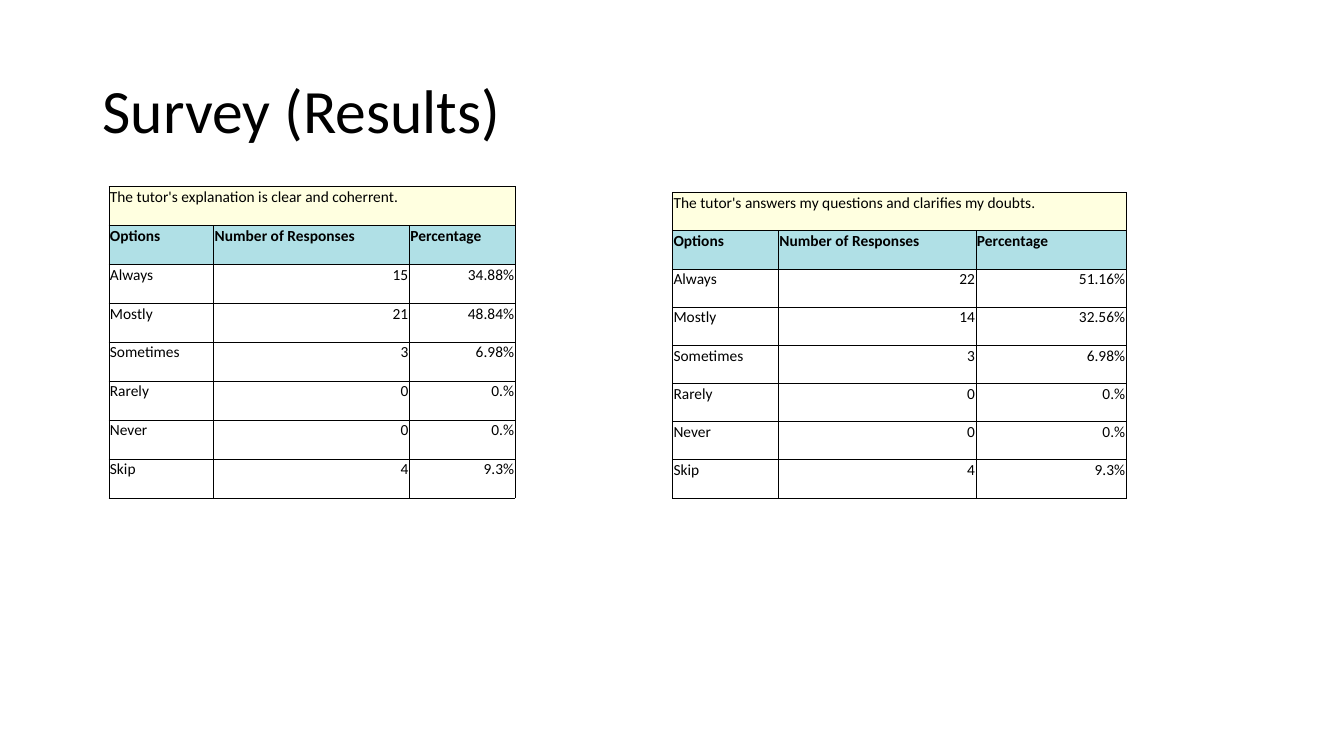
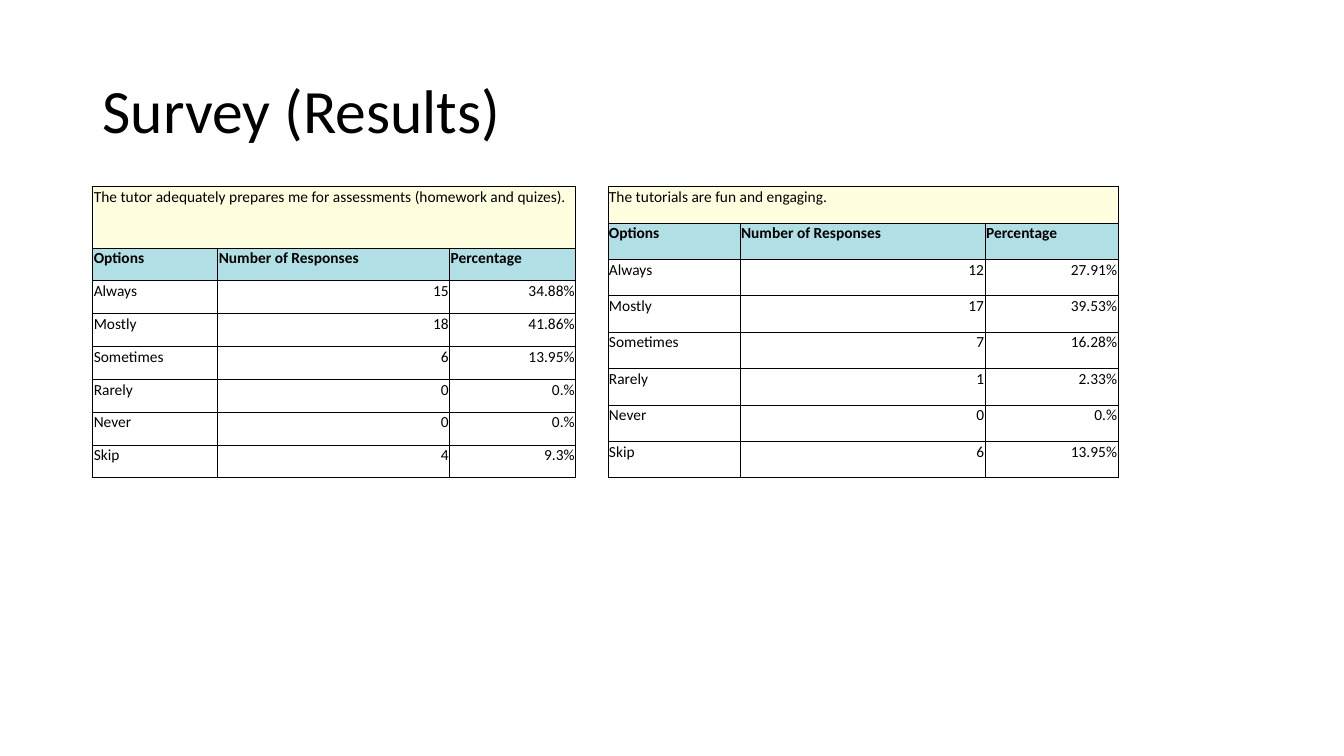
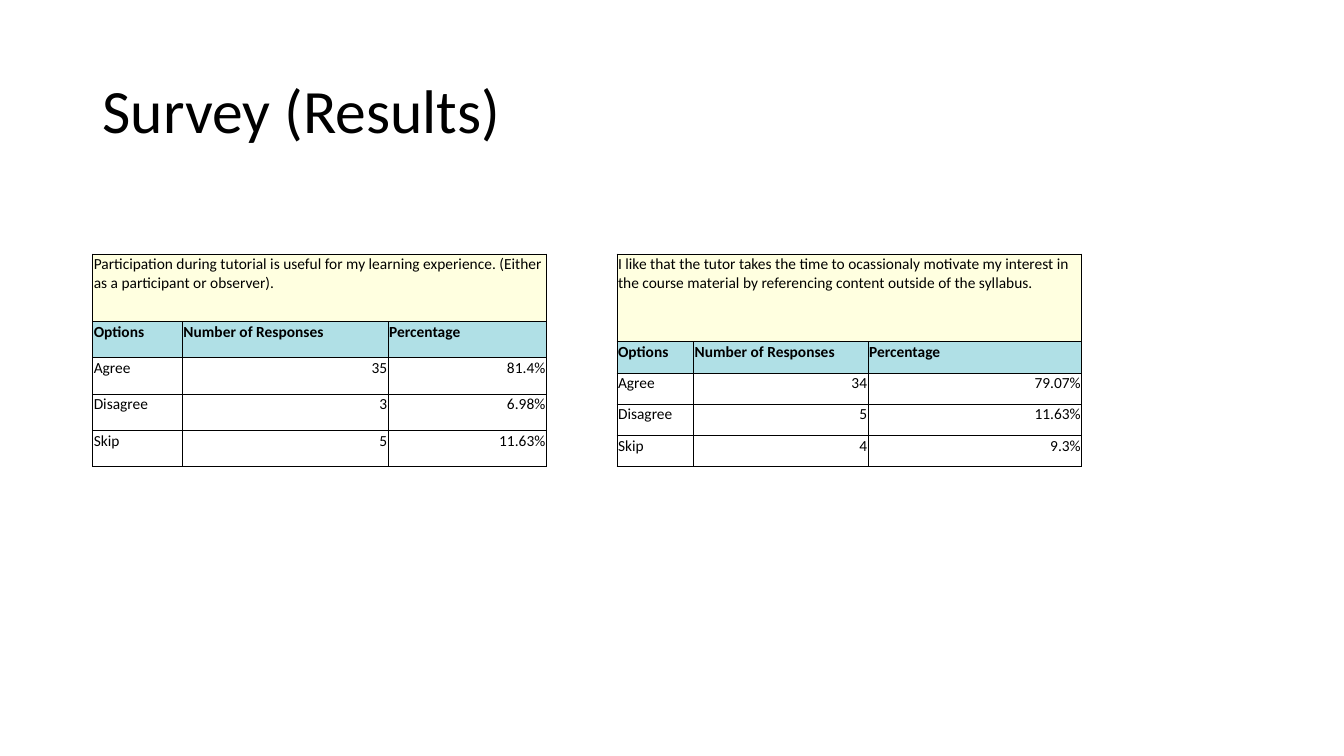
from lxml import etree
from pptx import Presentation, util as u
from pptx.dml.color import RGBColor
from pptx.enum import text
from pptx.oxml import ns

# Shared style
BLACK = RGBColor(0x00, 0x00, 0x00)
CREAM = RGBColor(0xFF, 0xFF, 0xE0)
POWDER_BLUE = RGBColor(0xB0, 0xE0, 0xE6)
FONT = "Calibri"
WIDTH, HEIGHT = 13.33, 7.5
BORDER_PT = 0.5

# Content: the counts of each question add up to all respondents
TITLE = "Survey (Results)"
HEADINGS = ("Options", "Number of Responses", "Percentage")
FREQUENCY = ("Always", "Mostly", "Sometimes", "Rarely", "Never", "Skip")
OPINION = ("Agree", "Disagree", "Skip")

# Each table: question, options, counts, (left, top, height), column widths,
# and the height of the question row if it is taller than the others
SLIDES = [
    [("The tutor's explanation is clear and coherrent.",
      FREQUENCY, (15, 21, 3, 0, 0, 4), (1.08, 1.85, 3.09), (1.04, 1.94, 1.05), None),
     ("The tutor's answers my questions and clarifies my doubts.",
      FREQUENCY, (22, 14, 3, 0, 0, 4), (6.67, 1.91, 3.03), (1.05, 1.96, 1.49), None)],
    [("The tutor adequately prepares me for assessments (homework and quizes).",
      FREQUENCY, (15, 18, 6, 0, 0, 4), (0.92, 1.85, 2.89), (1.24, 2.3, 1.25), 0.61),
     ("The tutorials are fun and engaging.",
      FREQUENCY, (12, 17, 7, 1, 0, 6), (6.03, 1.85, 2.89), (1.31, 2.43, 1.32), None)],
    [("Participation during tutorial is useful for my learning experience. "
      "(Either as a participant or observer).",
      OPINION, (35, 3, 5), (0.92, 2.52, 2.11), (0.89, 2.04, 1.57), 0.67),
     ("I like that the tutor takes the time to ocassionaly motivate my interest in "
      "the course material by referencing content outside of the syllabus.",
      OPINION, (34, 5, 4), (6.12, 2.52, 2.11), (0.76, 1.73, 2.12), 0.87)],
]


def set_font(p, size, bold=False):
    p.font.name, p.font.size, p.font.bold = FONT, u.Pt(size), bold
    p.font.color.rgb = BLACK


def add_title(s):
    sp = s.shapes.add_textbox(u.Inches(0.92), u.Inches(0.4), u.Inches(11.5), u.Inches(1.45))
    tf = sp.text_frame
    tf.word_wrap = True
    tf.vertical_anchor = text.MSO_ANCHOR.MIDDLE
    p = tf.paragraphs[0]
    p.text, p.line_spacing = TITLE, 0.9
    set_font(p, 44)


def add_borders(cell):
    tc_pr = cell._tc.get_or_add_tcPr()
    for side in ("a:lnL", "a:lnR", "a:lnT", "a:lnB"):
        ln = etree.SubElement(tc_pr, ns.qn(side), w=str(u.Pt(BORDER_PT)))
        fill = etree.SubElement(ln, ns.qn("a:solidFill"))
        etree.SubElement(fill, ns.qn("a:srgbClr"), val=str(BLACK))


def fill_cell(cell, value, row, col):
    cell.margin_left = cell.margin_right = cell.margin_top = u.Inches(0.01)
    cell.margin_bottom = 0
    add_borders(cell)
    if row < 2:
        cell.fill.solid()
        cell.fill.fore_color.rgb = (CREAM, POWDER_BLUE)[row]
    else:
        cell.fill.background()
    p = cell.text_frame.paragraphs[0]
    p.text = value
    set_font(p, 11, bold=row == 1)
    if row > 1 and col > 0:
        p.alignment = text.PP_ALIGN.RIGHT


def percentage(count, total):
    return f"{100 * count / total:.2f}".rstrip("0") + "%"


def add_result_table(s, question, options, counts, place, widths, question_height):
    total = sum(counts)
    rows = [(question, "", ""), HEADINGS]
    rows += [(o, str(n), percentage(n, total)) for o, n in zip(options, counts)]
    left, top, height = place
    first = question_height or height / len(rows)
    other = (height - first) / (len(rows) - 1)

    table = s.shapes.add_table(len(rows), len(widths), u.Inches(left), u.Inches(top),
                               u.Inches(sum(widths)), u.Inches(height)).table
    table.first_row = table.horz_banding = False
    for column, width in zip(table.columns, widths):
        column.width = u.Inches(width)
    for r, values in enumerate(rows):
        table.rows[r].height = u.Inches(other if r else first)
        for c, value in enumerate(values):
            fill_cell(table.cell(r, c), value, r, c)
    table.cell(0, 0).merge(table.cell(0, len(widths) - 1))


def main():
    prs = Presentation()
    prs.slide_width, prs.slide_height = u.Inches(WIDTH), u.Inches(HEIGHT)
    for results in SLIDES:
        s = prs.slides.add_slide(prs.slide_layouts[6])
        add_title(s)
        for result in results:
            add_result_table(s, *result)
    prs.save("out.pptx")


if __name__ == "__main__":
    main()
